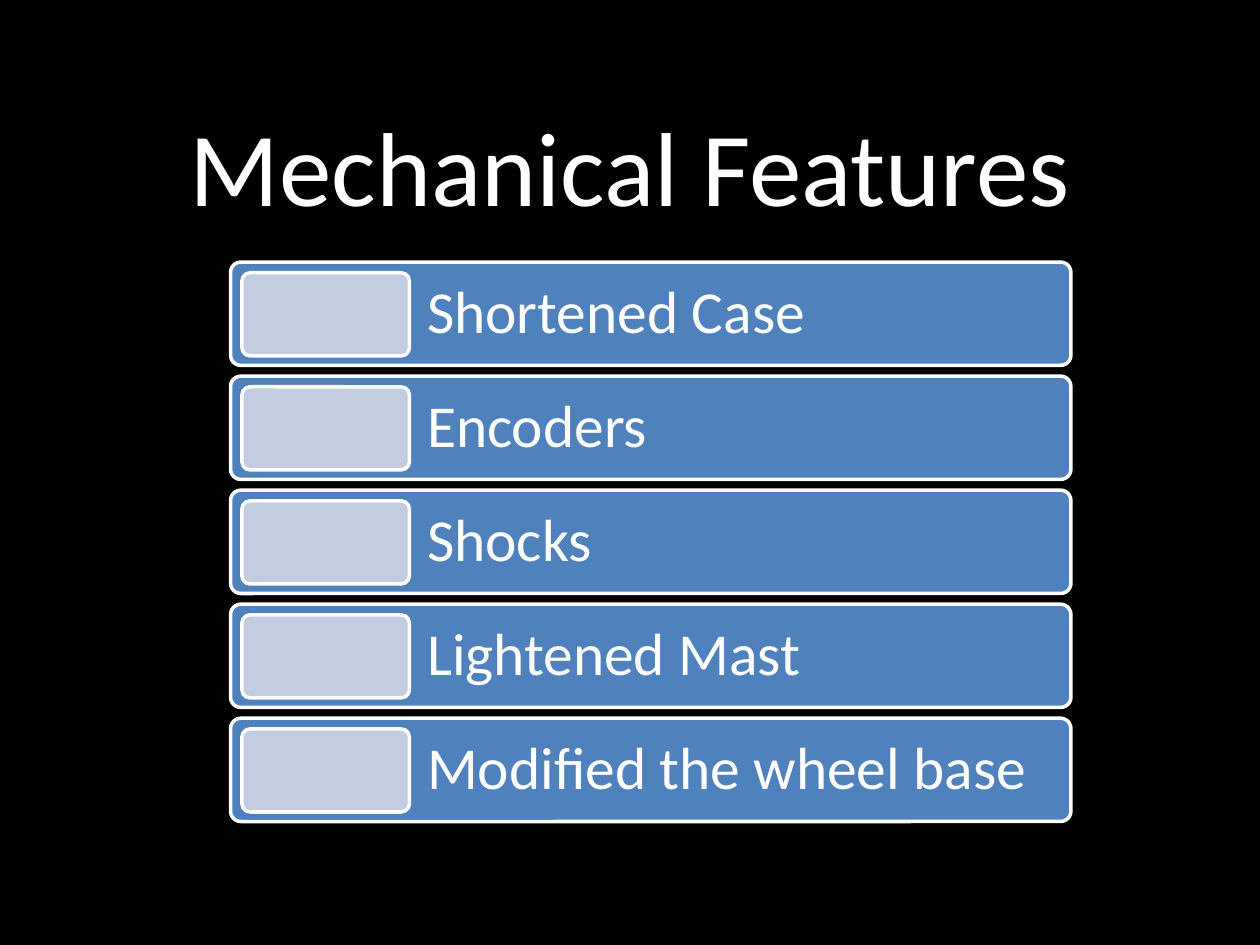
import dataclasses

import pptx
import pptx.dml.color
import pptx.enum.shapes
import pptx.enum.text
import pptx.util

Inches = pptx.util.Inches
Align = pptx.enum.text.PP_ALIGN


@dataclasses.dataclass(frozen=True)
class Theme:
    back: str = "000000"
    text: str = "FFFFFF"
    bar: str = "4F81BD"
    tile: str = "C2CDE1"
    font: str = "Calibri"
    title: int = 60
    item: int = 34
    line: int = 2


@dataclasses.dataclass(frozen=True)
class Box:
    left: float
    top: float
    width: float
    height: float

    def down(self, step: float) -> "Box":
        return dataclasses.replace(self, top=self.top + step)

    def place(self) -> list:
        return [Inches(v) for v in dataclasses.astuple(self)]


THEME = Theme()
PITCH = 0.905
TITLE = Box(0.75, 0.5, 8.5, 1.61)
BAR = Box(1.83, 2.08, 6.67, 0.82)
LABEL = Box(3.25, 2.08, 5.25, 0.82)
TILE = Box(1.92, 2.165, 1.33, 0.66)
ITEMS = ("Shortened Case", "Encoders", "Shocks", "Lightened Mast",
         "Modified the wheel base")


def color(code: str) -> pptx.dml.color.RGBColor:
    return pptx.dml.color.RGBColor.from_string(code)


def write(shapes, box: Box, text: str, *, size: int, align=Align.LEFT,
          inset: tuple = (0.1, 0.05), lead: float = 1.0, after: float = 0) -> None:
    frame = shapes.add_textbox(*box.place()).text_frame
    frame.word_wrap = True
    frame.vertical_anchor = pptx.enum.text.MSO_ANCHOR.MIDDLE
    frame.margin_left = frame.margin_right = Inches(inset[0])
    frame.margin_top = frame.margin_bottom = Inches(inset[1])
    para = frame.paragraphs[0]
    para.alignment = align
    para.line_spacing = lead
    para.space_after = pptx.util.Pt(after)
    run = para.add_run()
    run.text = text
    run.font.name = THEME.font
    run.font.size = pptx.util.Pt(size)
    run.font.color.rgb = color(THEME.text)


def panel(shapes, box: Box, fill: str) -> None:
    kind = pptx.enum.shapes.MSO_SHAPE.ROUNDED_RECTANGLE
    shape = shapes.add_shape(kind, *box.place())
    shape.adjustments[0] = 0.1
    shape.shadow.inherit = False
    shape.fill.solid()
    shape.fill.fore_color.rgb = color(fill)
    shape.line.color.rgb = color(THEME.text)
    shape.line.width = pptx.util.Pt(THEME.line)


# Slide and background
deck = pptx.Presentation()
deck.slide_width, deck.slide_height = Inches(10), Inches(7.5)
slide = deck.slides.add_slide(deck.slide_layouts[6])
slide.background.fill.solid()
slide.background.fill.fore_color.rgb = color(THEME.back)

# Title
write(slide.shapes, TITLE, "Mechanical Features", size=THEME.title,
      align=Align.CENTER)

# List of features: bar, label and tile in each row
group = slide.shapes.add_group_shape().shapes
for row, item in enumerate(ITEMS):
    step = row * PITCH
    panel(group, BAR.down(step), THEME.bar)
    write(group, LABEL.down(step), item, size=THEME.item,
          inset=(0.14, 0.14), lead=0.9, after=0.35 * THEME.item)
    panel(group, TILE.down(step), THEME.tile)

deck.save("out.pptx")
